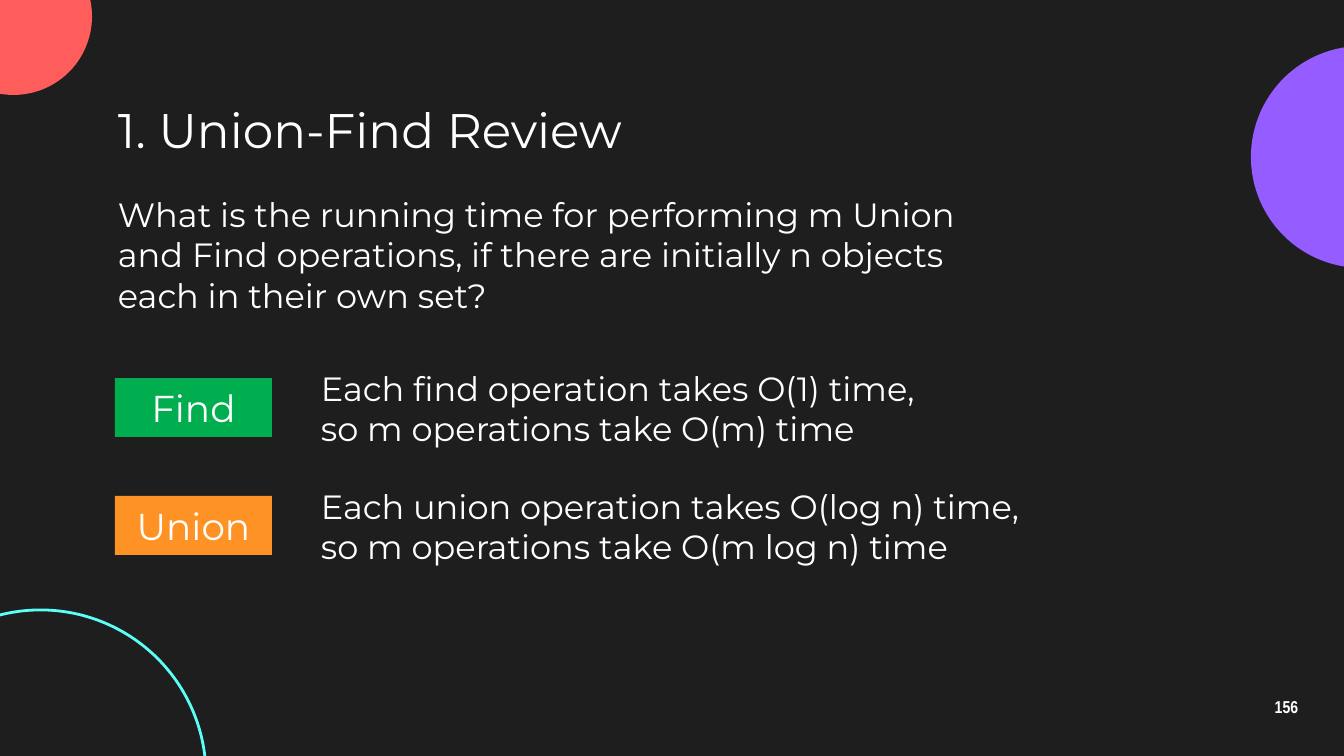
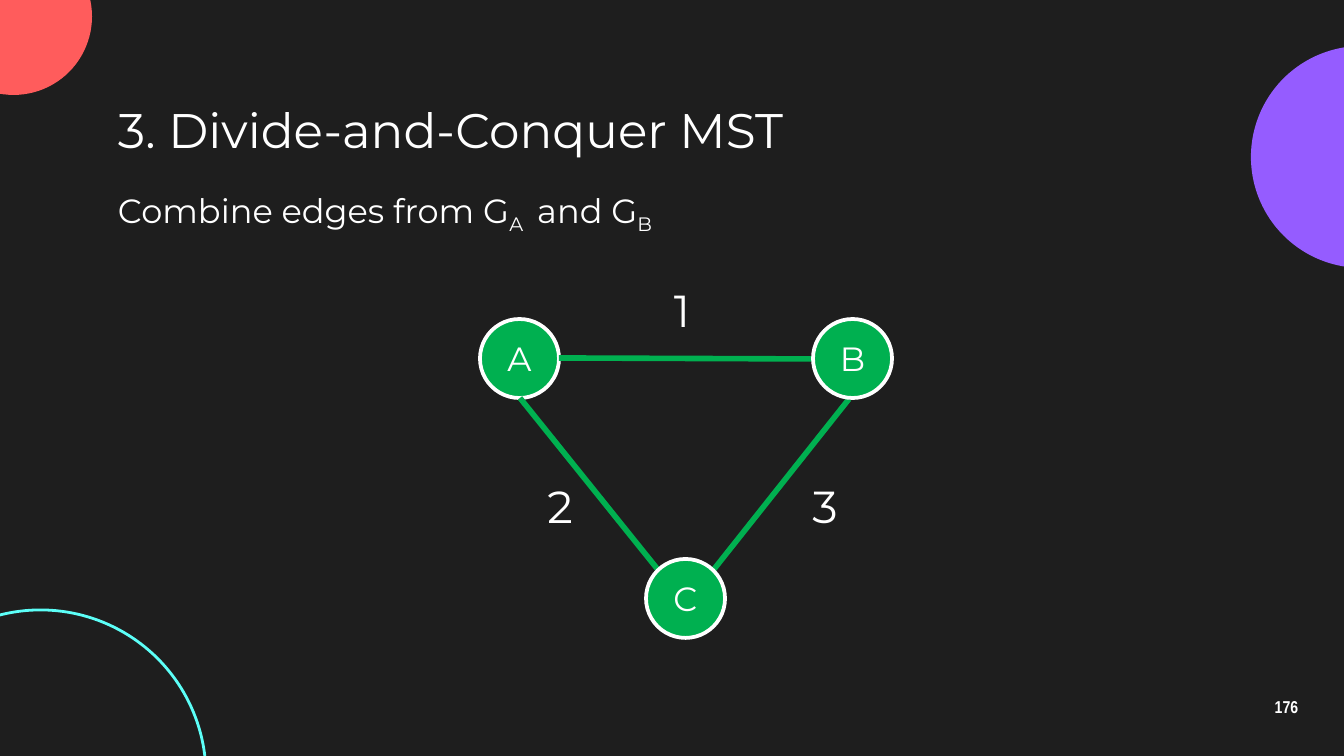
"""Builds two dark slides on union-find and a divide-and-conquer MST."""
import pptx
import pptx.util
import pptx.dml.color
import pptx.enum.shapes
import pptx.enum.text
import pptx.oxml.ns
from lxml import etree

RGBColor = pptx.dml.color.RGBColor
SHAPE = pptx.enum.shapes.MSO_SHAPE
ALIGN = pptx.enum.text.PP_ALIGN
ANCHOR = pptx.enum.text.MSO_ANCHOR

DARK = RGBColor(0x1E, 0x1E, 0x1E)
WHITE = RGBColor(0xFF, 0xFF, 0xFF)
PURPLE = RGBColor(0x95, 0x5C, 0xFF)
RED = RGBColor(0xFF, 0x5C, 0x5C)
CYAN = RGBColor(0x5C, 0xFF, 0xF8)
FIND_GREEN = RGBColor(0x00, 0xAE, 0x4F)
ORANGE = RGBColor(0xFF, 0x92, 0x25)
GREEN = RGBColor(0x00, 0xB0, 0x50)

EMU_PER_PX = 914400 / 134.4
WIDTH, HEIGHT = 1344, 756
INSET = 13
LEFT = 105
NODE = 79


def px(n):
    return pptx.util.Emu(round(n * EMU_PER_PX))


class Deck:
    def __init__(self):
        self.prs = pptx.Presentation()
        self.prs.slide_width = px(WIDTH)
        self.prs.slide_height = px(HEIGHT)
        self.s = None

    def slide(self, title, number):
        self.s = self.prs.slides.add_slide(self.prs.slide_layouts[5])
        fill = self.s.background.fill
        fill.solid()
        fill.fore_color.rgb = DARK
        self.shape(SHAPE.OVAL, 1251, 46, 222, 222, PURPLE)
        self.shape(SHAPE.OVAL, -65, -62, 157, 157, RED)
        self.shape(SHAPE.OVAL, -125, 610, 331, 331, line=CYAN, weight=1.5)
        p = self.text([number], 1246, 685, 81, 46, 9.2, ALIGN.CENTER,
                      ANCHOR.MIDDLE, "Arial Narrow")
        p.line_spacing = 0.9
        p.font.bold = True
        sp = self.s.shapes.title
        sp.left, sp.top, sp.width, sp.height = map(px, (LEFT, 95, 1134, 69))
        self.set_text(sp, [title], 26, anchor=ANCHOR.MIDDLE)

    def set_text(self, sp, runs, size, align=ALIGN.LEFT, anchor=ANCHOR.TOP,
                 font="Montserrat", inset=INSET):
        tf = sp.text_frame
        tf.word_wrap = True
        tf.auto_size = pptx.enum.text.MSO_AUTO_SIZE.NONE
        tf.vertical_anchor = anchor
        tf.margin_left = tf.margin_right = px(INSET)
        tf.margin_top = tf.margin_bottom = px(inset)
        p = tf.paragraphs[0]
        p.alignment = align
        p.font.size = pptx.util.Pt(size)
        p.font.name = font
        p.font.color.rgb = WHITE
        for i, text in enumerate(runs):
            r = p.add_run()
            r.text = text
            if i % 2:
                r._r.get_or_add_rPr().set("baseline", "-25000")
        return p

    def text(self, runs, x, y, w, h, size, align=ALIGN.LEFT,
             anchor=ANCHOR.TOP, font="Montserrat"):
        sp = self.s.shapes.add_textbox(px(x), px(y), px(w), px(h))
        return self.set_text(sp, runs, size, align, anchor, font)

    def shape(self, kind, x, y, w, h, fill=None, line=None, weight=1):
        sp = self.s.shapes.add_shape(kind, px(x), px(y), px(w), px(h))
        sp.shadow.inherit = False
        if fill is None:
            sp.fill.background()
        else:
            sp.fill.solid()
            sp.fill.fore_color.rgb = fill
        if line is None:
            sp.line.fill.background()
        else:
            sp.line.color.rgb = line
            sp.line.width = pptx.util.Pt(weight)
        return sp

    def tag(self, label, y, fill):
        sp = self.shape(SHAPE.RECTANGLE, 115, y, 157, 59, fill)
        self.set_text(sp, [label], 20, ALIGN.CENTER, inset=7)

    def node(self, label, x, y):
        sp = self.shape(SHAPE.OVAL, x, y, NODE, NODE, GREEN, WHITE, 2)
        self.set_text(sp, [label], 18, ALIGN.CENTER, ANCHOR.MIDDLE, inset=7)

    def edge(self, x1, y1, x2, y2):
        line = self.s.shapes.add_connector(
            pptx.enum.shapes.MSO_CONNECTOR.STRAIGHT,
            px(x1), px(y1), px(x2), px(y2))
        line.line.color.rgb = GREEN
        line.line.width = pptx.util.Pt(3)
        etree.SubElement(line._element.spPr, pptx.oxml.ns.qn("a:effectLst"))


def union_find(deck):
    deck.slide("1. Union-Find Review", "156")
    deck.text(["What is the running time for performing m Union and Find "
               "operations, if there are initially n objects each in their "
               "own set?"], LEFT, 181, 910, 69, 18)
    rows = [
        ("Find", FIND_GREEN, 665,
         "Each find operation takes O(1) time, so m operations take O(m) time"),
        ("Union", ORANGE, 757,
         "Each union operation takes O(log n) time, "
         "so m operations take O(m log n) time"),
    ]
    for i, (label, fill, width, cost) in enumerate(rows):
        y = 378 + 118 * i
        deck.tag(label, y, fill)
        deck.text([cost], 308, y - 23, width, 69, 18)


def divide_and_conquer(deck):
    deck.slide("3. Divide-and-Conquer MST", "176")
    deck.text(["Combine edges from G", "A ", " and G", "B"],
              LEFT, 177, 1109, 69, 18)
    deck.node("A", 480, 319)
    deck.edge(559, 358, 813, 359)
    deck.edge(711, 573, 849, 399)
    deck.edge(659, 571, 520, 398)
    deck.node("B", 813, 319)
    deck.node("C", 646, 559)
    for weight, x, y in (("1", 637, 270), ("2", 515, 466), ("3", 780, 466)):
        deck.text([weight], x, y, 90, 69, 24, ALIGN.CENTER)


def main():
    deck = Deck()
    union_find(deck)
    divide_and_conquer(deck)
    deck.prs.save("out.pptx")


if __name__ == "__main__":
    main()
